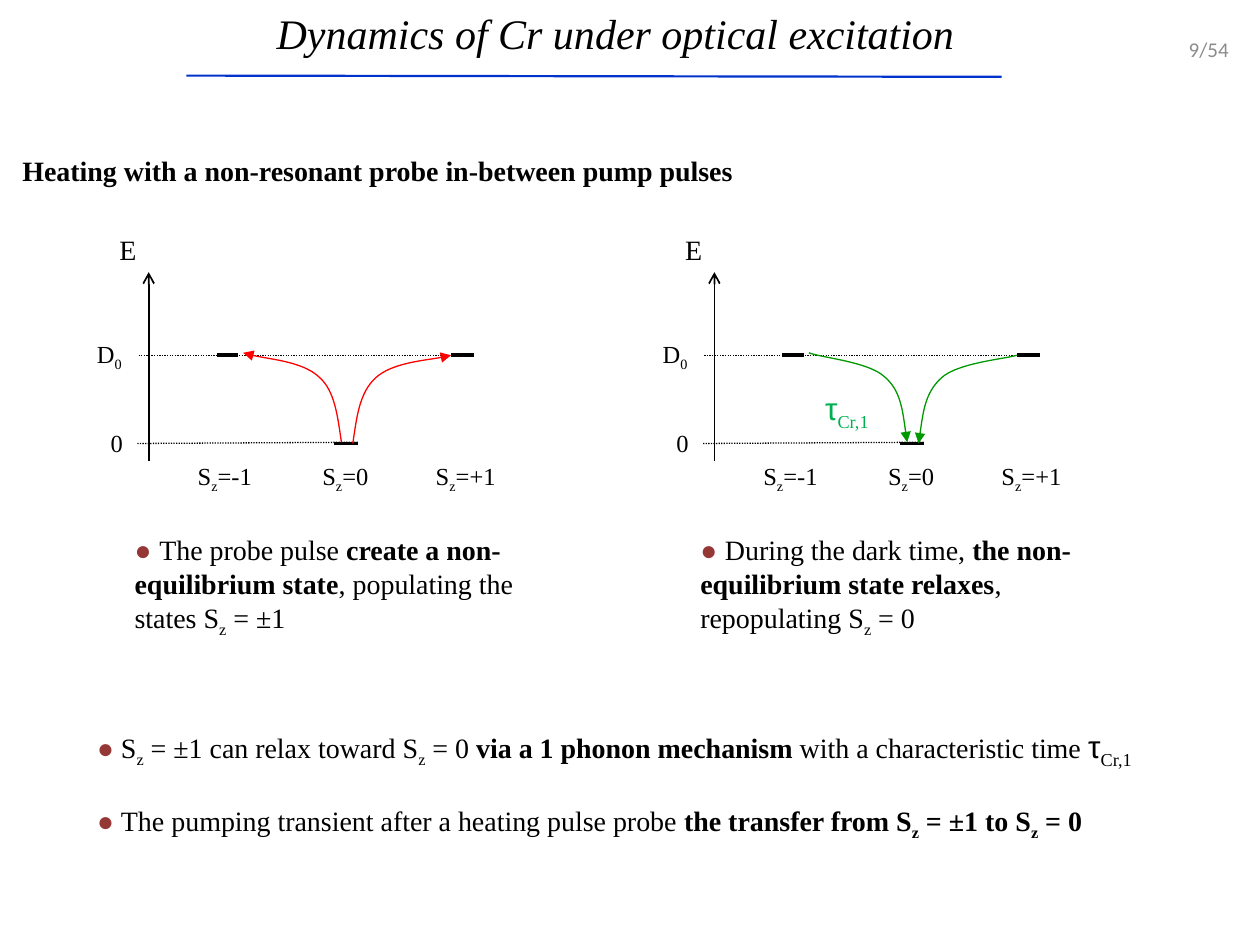
"""Build the slide on the dynamics of Cr under optical excitation."""
from dataclasses import dataclass

from lxml.etree import SubElement
from pptx import Presentation
from pptx.dml.color import RGBColor
from pptx.enum.dml import MSO_LINE
from pptx.enum.shapes import MSO_CONNECTOR
from pptx.enum.text import MSO_ANCHOR, MSO_AUTO_SIZE, PP_ALIGN
from pptx.oxml.ns import qn
from pptx.util import Inches, Pt


@dataclass(frozen=True)
class Theme:
    serif: str = "Times New Roman"
    sans: str = "Arial"
    number_font: str = "Calibri"
    black: str = "000000"
    bullet: str = "953735"
    rule: str = "0033CC"
    pump: str = "FF0000"
    relax: str = "009900"
    time: str = "00B050"
    grey: str = "8C8C8C"
    title: int = 24
    symbol: int = 18
    body: int = 16
    label: int = 14
    number: int = 12
    thin: float = 0.75
    medium: float = 1
    rule_width: float = 1.25
    thick: float = 2.25


THEME = Theme()

TITLE = "Dynamics of Cr under optical excitation"
HEADING = "Heating with a non-resonant probe in-between pump pulses"
PAGE = "9/54"
TAU = [("τ", "symbol"), ("Cr,1", "large sub")]

PANELS = [
    {"left": 0, "color": THEME.pump, "arrow": "tailEnd",
     "text": [("● ", "bullet"), ("The probe pulse ", ""),
              ("create a non-equilibrium state", "bold"),
              (", populating the states S", ""), ("z", "sub"), (" = ±1", "")]},
    {"left": 4.49, "color": THEME.relax, "arrow": "headEnd",
     "text": [("● ", "bullet"), ("During the dark time, ", ""),
              ("the non-equilibrium state relaxes", "bold"),
              (", repopulating S", ""), ("z", "sub"), (" = 0", "")]},
]

CONCLUSIONS = [
    [("S", ""), ("z", "sub"), (" = ±1 can relax toward S", ""), ("z", "sub"),
     (" = 0 ", ""), ("via a 1 phonon mechanism", "bold"),
     (" with a characteristic time ", "")] + TAU,
    [("The pumping transient after a heating pulse probe ", ""),
     ("the transfer from S", "bold"), ("z", "bold sub"),
     (" = ±1 to S", "bold"), ("z", "bold sub"), (" = 0", "bold")],
]

TITLE_RULE = ((1.48, 0.6), (7.95, 0.61))
GUIDES = [((1.1, 2.82), (3.7, 2.82)), ((1.09, 3.52), (2.85, 3.51))]
LEVELS = [((1.72, 2.82), (1.89, 2.82)), ((2.65, 3.52), (2.84, 3.52)),
          ((3.58, 2.82), (3.76, 2.82))]
ENERGY_AXIS = ((1.18, 3.66), (1.18, 2.16))
SPIN_LABELS = [(1.47, 0.65, "=-1"), (2.46, 0.59, "=0"), (3.36, 0.7, "=+1")]
ENERGY_LABELS = [(0.67, 2.64, 0.41, [("D", ""), ("0", "sub")]),
                 (0.78, 3.35, 0.3, [("0", "")])]
CURVES = [
    [(2.71, 3.51), (2.68, 3.31), (2.66, 3.1), (2.53, 2.99),
     (2.4, 2.87), (2.03, 2.84), (1.93, 2.8)],
    [(2.8, 3.52), (2.83, 3.32), (2.85, 3.12), (2.98, 3),
     (3.11, 2.88), (3.48, 2.85), (3.58, 2.82)],
]


def rgb(color):
    return RGBColor.from_string(color)


def write(paragraph, runs, size, color=THEME.black, name=THEME.serif):
    paragraph.font.size = Pt(size)
    paragraph.font.name = name
    paragraph.font.color.rgb = rgb(color)
    for text, style in runs:
        run = paragraph.add_run()
        run.text = text
        kinds = style.split()
        if "bold" in kinds:
            run.font.bold = True
        if "sub" in kinds:
            run.font._element.set("baseline", "-25000")
        if "bullet" in kinds:
            run.font.color.rgb = rgb(THEME.bullet)
        if "bullet" in kinds or "symbol" in kinds:
            run.font.name = THEME.sans
        if "large" in kinds or "symbol" in kinds:
            run.font.size = Pt(THEME.symbol)


def add_text(shapes, box, runs, size, wrap=True, **font):
    shape = shapes.add_textbox(*map(Inches, box))
    frame = shape.text_frame
    frame.word_wrap = wrap
    if not wrap:
        frame.auto_size = MSO_AUTO_SIZE.SHAPE_TO_FIT_TEXT
    write(frame.paragraphs[0], runs, size, **font)
    return shape


def style_line(shape, color, width, arrow=None):
    shape.line.color.rgb = rgb(color)
    shape.line.width = Pt(width)
    if arrow:
        end, kind = arrow
        SubElement(shape.line._get_or_add_ln(), qn(f"a:{end}"), type=kind)


def add_line(shapes, ends, color, width, left=0, dash=None, arrow=None):
    (x1, y1), (x2, y2) = ends
    line = shapes.add_connector(MSO_CONNECTOR.STRAIGHT, Inches(left + x1),
                                Inches(y1), Inches(left + x2), Inches(y2))
    if dash:
        line.line.dash_style = dash
    style_line(line, color, width, arrow)
    SubElement(line._element.spPr, qn("a:effectLst"))


def add_curve(shapes, points, left, color, arrow):
    start, *rest = [(Inches(left + x), Inches(y)) for x, y in points]
    builder = shapes.build_freeform(*start)
    builder.add_line_segments(rest, close=False)
    shape = builder.convert_to_shape()
    shape.shadow.inherit = False
    shape.fill.background()
    style_line(shape, color, THEME.thin, (arrow, "triangle"))
    outline = shape._element.find(f".//{qn('a:path')}")
    segments = outline.findall(qn("a:lnTo"))
    for index in range(0, len(segments), 3):
        cubic = SubElement(outline, qn("a:cubicBezTo"))
        for segment in segments[index:index + 3]:
            cubic.append(segment[0])
            outline.remove(segment)


def add_panel(slide, panel):
    shapes = slide.shapes.add_group_shape().shapes
    left = panel["left"]
    for ends in GUIDES:
        add_line(shapes, ends, THEME.black, THEME.thin, left, MSO_LINE.ROUND_DOT)
    for ends in LEVELS:
        add_line(shapes, ends, THEME.black, THEME.thick, left)
    add_line(shapes, ENERGY_AXIS, THEME.black, THEME.medium, left,
             arrow=("tailEnd", "arrow"))
    add_text(shapes, (left + 0.85, 1.8, 0.47, 0.36), [("E", "")], THEME.body)
    for x, width, value in SPIN_LABELS:
        add_text(shapes, (left + x, 3.61, width, 0.33),
                 [("S", ""), ("z", "sub"), (value, "")], THEME.label, wrap=False)
    for x, y, width, runs in ENERGY_LABELS:
        add_text(shapes, (left + x, y, width, 0.34), runs, THEME.label, wrap=False)
    for points in CURVES:
        add_curve(shapes, points, left, panel["color"], panel["arrow"])
    add_text(shapes, (left + 0.97, 4.18, 3.25, 0.91), panel["text"], THEME.body)


def place(shape, left, top, width, height):
    shape.left, shape.top = Inches(left), Inches(top)
    shape.width, shape.height = Inches(width), Inches(height)
    frame = shape.text_frame
    frame.word_wrap = True
    frame.auto_size = MSO_AUTO_SIZE.NONE
    frame.vertical_anchor = MSO_ANCHOR.TOP
    return frame


def fill_conclusions(frame):
    for index, runs in enumerate(CONCLUSIONS):
        paragraph = frame.add_paragraph() if index else frame.paragraphs[0]
        properties = paragraph._p.get_or_add_pPr()
        properties.set("marL", str(Inches(0.19)))
        properties.set("indent", str(-Inches(0.19)))
        paragraph.space_before = Pt(19 if index else 0)
        bullet_color = SubElement(properties, qn("a:buClr"))
        SubElement(bullet_color, qn("a:srgbClr"), val=THEME.bullet)
        SubElement(properties, qn("a:buFont"), typeface=THEME.sans)
        SubElement(properties, qn("a:buChar"), char="●")
        write(paragraph, runs, THEME.body)


def main():
    presentation = Presentation()
    presentation.slide_width, presentation.slide_height = Inches(10), Inches(7.5)
    slide = presentation.slides.add_slide(presentation.slide_layouts[1])
    shapes = slide.shapes

    title = place(shapes.title, 0.71, 0.01, 8.35, 0.5).paragraphs[0]
    write(title, [(TITLE, "")], THEME.title)
    title.font.italic = True
    title.alignment = PP_ALIGN.CENTER
    add_line(shapes, TITLE_RULE, THEME.rule, THEME.rule_width)
    add_text(shapes, (0.08, 1.17, 6.1, 0.37), [(HEADING, "bold")], THEME.body)

    for panel in PANELS:
        add_panel(slide, panel)
    add_text(shapes, (6.45, 3.04, 0.6, 0.4), TAU, THEME.symbol, wrap=False,
             color=THEME.time)
    fill_conclusions(place(slide.placeholders[1], 0.67, 5.72, 8.66, 0.94))

    number = add_text(shapes, (7.52, 0.13, 2.33, 0.52), [(PAGE, "")], THEME.number,
                      color=THEME.grey, name=THEME.number_font)
    number.text_frame.vertical_anchor = MSO_ANCHOR.MIDDLE
    number.text_frame.paragraphs[0].alignment = PP_ALIGN.RIGHT
    presentation.save("out.pptx")


if __name__ == "__main__":
    main()
